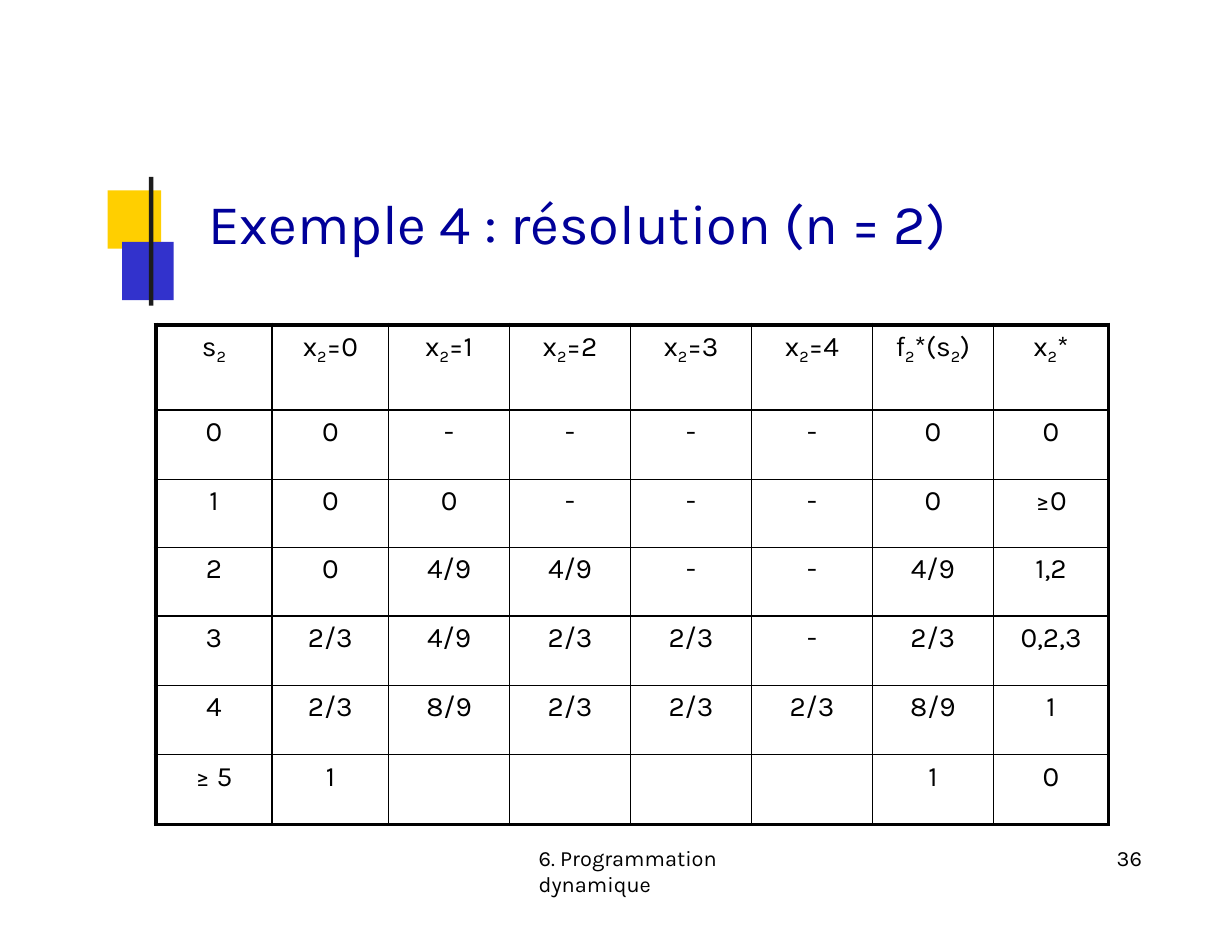
from lxml import etree
from pptx import Presentation
from pptx.dml.color import RGBColor
from pptx.enum.shapes import MSO_SHAPE
from pptx.enum.text import MSO_ANCHOR, MSO_AUTO_SIZE, PP_ALIGN
from pptx.oxml.ns import qn
from pptx.util import Inches, Pt

COLORS = {
    "title": "000099",
    "text": "000000",
    "border": "000000",
    "yellow": "FFCF00",
    "blue": "3232CC",
    "bar": "1C1C1C",
}
COL_WIDTHS = [1.04, 1.04, 1.08, 1.08, 1.08, 1.08, 1.08, 1.03]
ROW_HEIGHTS = [0.76, 0.62, 0.61, 0.61, 0.62, 0.62, 0.62]
ROWS = [
    ["s_2", "x_2=0", "x_2=1", "x_2=2", "x_2=3", "x_2=4", "f_2*(s_2)", "x_2*"],
    ["0", "0", "-", "-", "-", "-", "0", "0"],
    ["1", "0", "0", "-", "-", "-", "0", "≥0"],
    ["2", "0", "4/9", "4/9", "-", "-", "4/9", "1,2"],
    ["3", "2/3", "4/9", "2/3", "2/3", "-", "2/3", "0,2,3"],
    ["4", "2/3", "8/9", "2/3", "2/3", "2/3", "8/9", "1"],
    ["≥ 5", "1", "", "", "", "", "1", "0"],
]


def rgb(name):
    return RGBColor.from_string(COLORS[name])


class SlideBuilder:
    font = "Karla"

    def __init__(self, slide):
        self.slide = slide

    def style(self, p, size, color="text", before=1, align=PP_ALIGN.LEFT):
        p.font.name = self.font
        p.font.size = Pt(size)
        p.font.color.rgb = rgb(color)
        p.space_before = Pt(before)
        p.alignment = align

    def place_text(self, sp, text, box, size, color="text", left=0.01):
        sp.left, sp.top, sp.width, sp.height = map(Inches, box)
        tf = sp.text_frame
        tf.word_wrap = True
        tf.auto_size = MSO_AUTO_SIZE.SHAPE_TO_FIT_TEXT
        tf.vertical_anchor = MSO_ANCHOR.TOP
        tf.margin_left, tf.margin_top = Inches(left), Inches(0.01)
        tf.margin_right = tf.margin_bottom = 0
        tf.text = text
        self.style(tf.paragraphs[0], size, color)

    def title(self, text, box):
        self.place_text(self.slide.shapes.title, text, box, 36, "title")

    def text(self, text, box, left=0.01):
        sp = self.slide.shapes.add_textbox(*map(Inches, box))
        self.place_text(sp, text, box, 14, left=left)

    def block(self, box, color):
        sp = self.slide.shapes.add_shape(MSO_SHAPE.RECTANGLE, *map(Inches, box))
        sp.shadow.inherit = False
        sp.fill.solid()
        sp.fill.fore_color.rgb = rgb(color)
        sp.line.fill.background()

    def indexed_text(self, p, text):
        head, *rest = text.split("_")
        p.add_run().text = head
        for part in rest:
            r = p.add_run()
            r.text = part[0]
            r._r.get_or_add_rPr().set("baseline", "-23000")
            if part[1:]:
                p.add_run().text = part[1:]

    def borders(self, cell, widths):
        tc_pr = cell._tc.get_or_add_tcPr()
        for side, width in widths.items():
            ln = etree.SubElement(tc_pr, qn(f"a:ln{side}"), w=str(Pt(width)))
            fill = etree.SubElement(ln, qn("a:solidFill"))
            etree.SubElement(fill, qn("a:srgbClr"), val=COLORS["border"])

    def table(self, rows, left, top, col_widths, row_heights):
        n_rows, n_cols = len(rows), len(col_widths)
        table = self.slide.shapes.add_table(
            n_rows, n_cols, Inches(left), Inches(top),
            Inches(sum(col_widths)), Inches(sum(row_heights))).table
        table.first_row = table.horz_banding = False
        for column, width in zip(table.columns, col_widths):
            column.width = Inches(width)
        for row, height in zip(table.rows, row_heights):
            row.height = Inches(height)
        for i, values in enumerate(rows):
            for j, value in enumerate(values):
                cell = table.cell(i, j)
                cell.margin_left = cell.margin_right = cell.margin_bottom = 0
                cell.margin_top = Inches(0.05)
                self.borders(cell, {
                    "L": 3 if j == 0 else 1,
                    "R": 2.25 if j == n_cols - 1 else 1,
                    "T": 3 if i == 0 else 1,
                    "B": 2.25 if i == n_rows - 1 else 1,
                })
                cell.fill.background()
                p = cell.text_frame.paragraphs[0]
                self.style(p, 18, before=3.5, align=PP_ALIGN.CENTER)
                if value:
                    self.indexed_text(p, value)


def main():
    prs = Presentation()
    prs.slide_width, prs.slide_height = Inches(11), Inches(8.5)
    s = SlideBuilder(prs.slides.add_slide(prs.slide_layouts[5]))
    s.block((0.96, 1.7, 0.48, 0.52), "yellow")
    s.block((1.09, 2.16, 0.46, 0.52), "blue")
    s.block((1.33, 1.58, 0.04, 1.15), "bar")
    s.title("Exemple 4 : résolution (n = 2)", (1.85, 1.67, 8.34, 0.63))
    s.text("6. Programmation dynamique", (4.8, 7.53, 2.57, 0.26))
    s.text("36", (9.93, 7.53, 0.31, 0.26), left=0.04)
    s.table(ROWS, 1.39, 2.9, COL_WIDTHS, ROW_HEIGHTS)
    prs.save("out.pptx")


if __name__ == "__main__":
    main()
